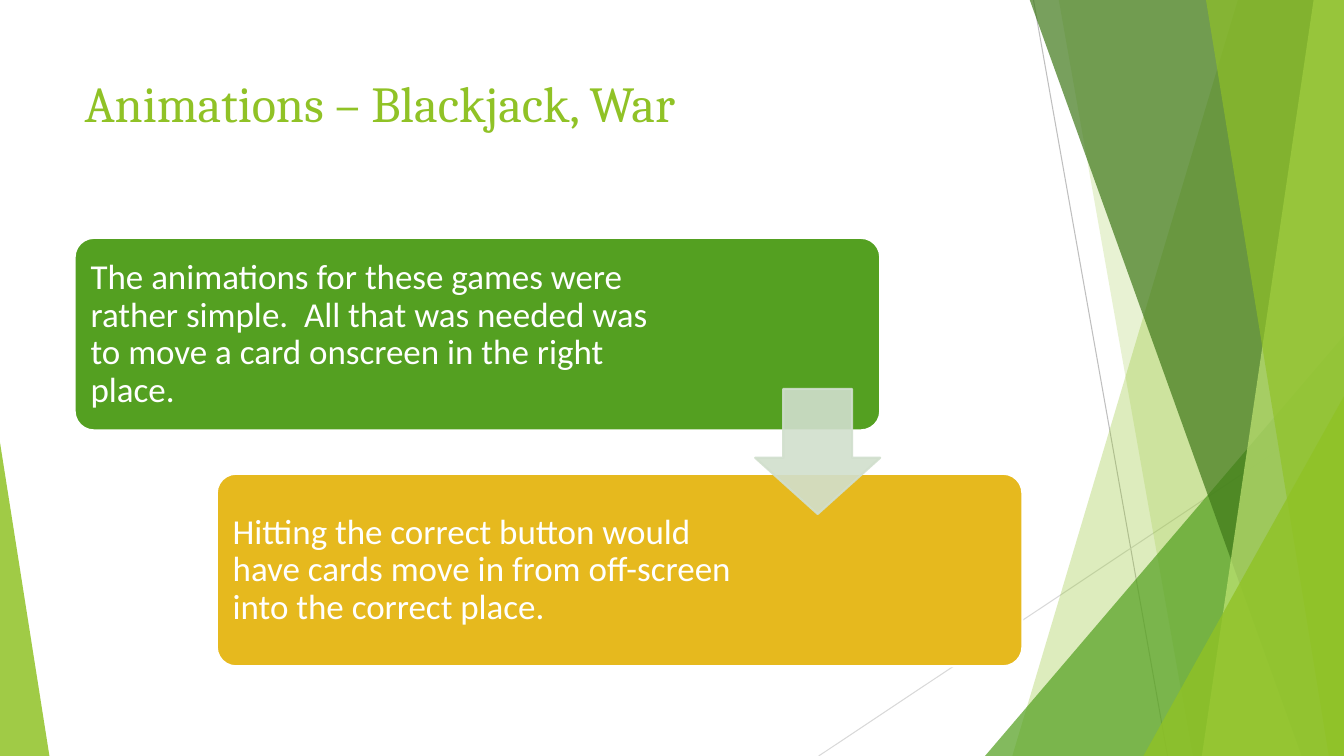
from lxml import etree
from pptx import Presentation
from pptx import util as u
from pptx.dml.color import RGBColor
from pptx.enum import shapes, text
from pptx.oxml.ns import qn

PX = 9144  # 100 px to the inch
WIDTH, HEIGHT = 1333, 750
LIME, GREEN, GOLD, MIST, WHITE = "90C226", "54A021", "E6B91E", "D1DFCD", "FFFFFF"
SHAPE = shapes.MSO_SHAPE


def paint(shape, fill, opacity=100, line=None):
    """Set fill and outline, both with the same opacity in percent."""
    shape.shadow.inherit = False
    shape.fill.solid()
    shape.fill.fore_color.rgb = RGBColor.from_string(fill)
    if line:
        shape.line.color.rgb = RGBColor.from_string(line)
        shape.line.width = u.Pt(1.5)
    else:
        shape.line.fill.background()
    if opacity < 100:
        for color in shape._element.spPr.iter(qn("a:srgbClr")):
            etree.SubElement(color, qn("a:alpha"), val=str(opacity * 1000))


def add_words(box, words, font, size, color):
    left, top, width, height = (n * PX for n in box)
    frame = slide.shapes.add_textbox(left, top, width, height).text_frame
    frame.word_wrap = True
    frame.text = words
    run_font = frame.paragraphs[0].runs[0].font
    run_font.name, run_font.size = font, u.Pt(size)
    run_font.color.rgb = RGBColor.from_string(color)
    return frame


deck = Presentation()
deck.slide_width, deck.slide_height = WIDTH * PX, HEIGHT * PX
slide = deck.slides.add_slide(deck.slide_layouts[6])

# Thin lines behind the facets
for x1, y1, x2, y2, gray in [
    (1025, 0, 1158, 750, "BFBFBF"),
    (1333, 403, 812, 750, "D9D9D9"),
]:
    ray = slide.shapes.add_connector(
        shapes.MSO_CONNECTOR.STRAIGHT, x1 * PX, y1 * PX, x2 * PX, y2 * PX)
    ray.line.color.rgb = RGBColor.from_string(gray)
    ray.line.width = u.Pt(0.75)
    etree.SubElement(ray._element.spPr, qn("a:effectLst"))

# Facets run to the right edge (top x, bottom x); corners are triangles
# (left, top, width, apex)
facets = [
    ("band", (1228, 1004), LIME, 30),
    ("band", (1050, 1183), LIME, 20),
    ("corner", (977, 333, 356, 1), GREEN, 72),
    ("band", (1021, 1291), "3F7819", 70),
    ("band", (1303, 1192), "C0E474", 70),
    ("band", (1196, 1318), LIME, 65),
    ("corner", (1134, 393, 199, 1), LIME, 80),
    ("corner", (0, 439, 49, 0), LIME, 85),
]
for kind, geometry, color, opacity in facets:
    if kind == "band":
        top_x, bottom_x = geometry
        outline = slide.shapes.build_freeform(top_x, -1, scale=PX)
        outline.add_line_segments([(WIDTH, -1), (WIDTH, HEIGHT), (bottom_x, HEIGHT)])
        facet = outline.convert_to_shape()
    else:
        left, top, width, apex = geometry
        facet = slide.shapes.add_shape(
            SHAPE.ISOSCELES_TRIANGLE, left * PX, top * PX, width * PX, (HEIGHT - top) * PX)
        facet.adjustments[0] = apex
    paint(facet, color, opacity)

add_words((74, 67, 940, 144), "Animations – Blackjack, War", "Cambria", 36, LIME)

steps = [
    (74, 236, 602, GREEN,
     "The animations for these games were rather simple.  All that was needed was "
     "to move a card onscreen in the right place."),
    (215, 470, 523, GOLD,
     "Hitting the correct button would have cards move in from off-screen "
     "into the correct place."),
]
for left, top, words_width, color, words in steps:
    card = slide.shapes.add_shape(
        SHAPE.ROUNDED_RECTANGLE, left * PX, top * PX, 799 * PX, 191 * PX)
    card.adjustments[0] = 0.1
    paint(card, color, line=WHITE)
    frame = add_words((left + 6, top + 6, words_width, 180), words, "Calibri", 25, WHITE)
    frame.vertical_anchor = text.MSO_ANCHOR.MIDDLE
    frame.margin_left = frame.margin_right = 10 * PX
    frame.margin_top = frame.margin_bottom = 10 * PX
    frame.paragraphs[0].line_spacing = 0.9

arrow = slide.shapes.add_shape(SHAPE.DOWN_ARROW, 749 * PX, 386 * PX, 124 * PX, 124 * PX)
arrow.adjustments[0], arrow.adjustments[1] = 0.55, 0.45
paint(arrow, MIST, 90, line=MIST)

deck.save("out.pptx")
